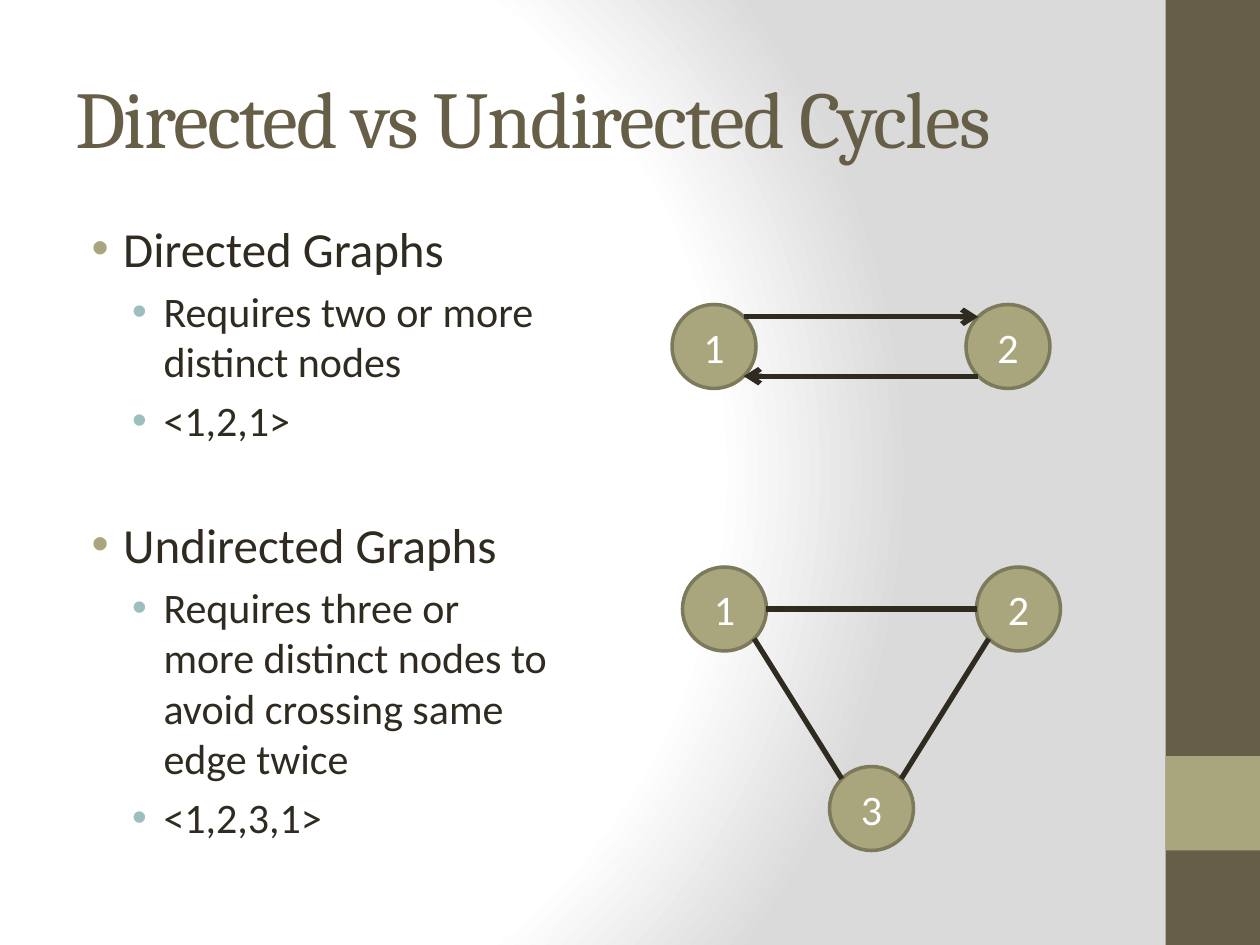
"""Build the slide that compares directed and undirected cycles."""
import math
from dataclasses import dataclass

import pptx
import pptx.dml.color
import pptx.enum.shapes
import pptx.enum.text
import pptx.oxml
import pptx.oxml.ns
import pptx.util
from lxml import etree

COLUMNS, ROWS = 120, 90
NODE_SIZE = 8


@dataclass(frozen=True)
class Theme:
    brown: str = "675E47"
    olive: str = "A9A57C"
    outline: str = "7D7A5C"
    teal: str = "9CBEBD"
    ink: str = "2F2B20"
    white: str = "FFFFFF"
    gray: str = "DADADA"
    heading_font: str = "Cambria"
    body_font: str = "Calibri"
    title_size: float = 46
    topic_size: float = 28
    detail_size: float = 24


@dataclass(frozen=True)
class Node:
    label: str
    column: float
    row: float

    def rim(self, degrees: float) -> tuple[float, float]:
        radius, angle = NODE_SIZE / 2, math.radians(degrees)
        return (self.column + radius + radius * math.cos(angle),
                self.row + radius + radius * math.sin(angle))


@dataclass(frozen=True)
class Edge:
    start: Node
    start_angle: float
    end: Node
    end_angle: float
    directed: bool = False


@dataclass(frozen=True)
class Bullet:
    text: str
    level: int = 0
    space_before: float = 4.8


THEME = Theme()
BULLETS = [
    Bullet("Directed Graphs", space_before=0),
    Bullet("Requires two or more distinct nodes", 1),
    Bullet("<1,2,1>", 1),
    Bullet("Undirected Graphs", space_before=39.5),
    Bullet("Requires three or more distinct nodes to avoid crossing same edge twice", 1),
    Bullet("<1,2,3,1>", 1),
]
PAIR = [Node("1", 64, 29), Node("2", 92, 29)]
TRIANGLE = [Node("1", 65, 54), Node("2", 93, 54), Node("3", 79, 73)]
EDGES = [
    Edge(PAIR[0], -45, PAIR[1], -135, True),
    Edge(PAIR[1], 135, PAIR[0], 45, True),
    Edge(TRIANGLE[0], 0, TRIANGLE[1], 180),
    Edge(TRIANGLE[1], 135, TRIANGLE[2], -45),
    Edge(TRIANGLE[0], 45, TRIANGLE[2], -135),
]


def grid(*units: float) -> list[int]:
    """Turn alternating column and row counts into lengths."""
    cells = (pptx.util.Inches(10) / COLUMNS, pptx.util.Inches(7.5) / ROWS)
    return [round(unit * cells[index % 2]) for index, unit in enumerate(units)]


def rgb(value: str) -> pptx.dml.color.RGBColor:
    return pptx.dml.color.RGBColor.from_string(value)


def set_font(paragraph, name: str, size: float, color: str) -> None:
    font = paragraph.font
    font.name, font.size = name, pptx.util.Pt(size)
    font.color.rgb = rgb(color)


def add_element(parent, tag: str, **attributes: str):
    return etree.SubElement(parent, pptx.oxml.ns.qn(tag), **attributes)


def paint_background(page) -> None:
    page.background.fill.solid()
    properties = page.element.find(".//" + pptx.oxml.ns.qn("p:bgPr"))
    stops = "".join(
        f'<a:gs pos="{share * 1000}"><a:srgbClr val="{color}"/></a:gs>'
        for share, color in [(0, THEME.white), (75, THEME.white), (100, THEME.gray)])
    properties.replace(properties[0], pptx.oxml.parse_xml(
        f'<a:gradFill {pptx.oxml.ns.nsdecls("a")} rotWithShape="1"><a:gsLst>{stops}</a:gsLst>'
        '<a:path path="circle"><a:fillToRect l="20000" t="50000" r="100000" b="50000"/>'
        '</a:path></a:gradFill>'))


def add_band(page, row: float, height: float, color: str) -> None:
    band = page.shapes.add_shape(
        pptx.enum.shapes.MSO_SHAPE.RECTANGLE, *grid(111, row, 9, height))
    band.shadow.inherit = False
    band.fill.solid()
    band.fill.fore_color.rgb = rgb(color)
    band.line.fill.background()


def add_title(page, text: str) -> None:
    box = page.shapes.add_textbox(*grid(6, 3.6, 100, 15))
    box.text_frame.word_wrap = True
    box.text_frame.vertical_anchor = pptx.enum.text.MSO_ANCHOR.MIDDLE
    paragraph = box.text_frame.paragraphs[0]
    span = paragraph.add_run()
    span.text = text
    span.font._element.set("spc", "-100")
    set_font(paragraph, THEME.heading_font, THEME.title_size, THEME.brown)


def add_bullets(page, bullets: list[Bullet]) -> None:
    frame = page.shapes.add_textbox(*grid(6, 20.2, 48, 68.9)).text_frame
    frame.word_wrap = True
    for index, bullet in enumerate(bullets):
        paragraph = frame.add_paragraph() if index else frame.paragraphs[0]
        paragraph.text, paragraph.level = bullet.text, bullet.level
        paragraph.space_before = pptx.util.Pt(bullet.space_before)
        properties = paragraph._p.get_or_add_pPr()
        properties.set("marL", str(pptx.util.Inches((0.38, 0.7)[bullet.level])))
        properties.set("indent", str(pptx.util.Inches(-0.25)))
        color = add_element(properties, "a:buClr")
        add_element(color, "a:srgbClr", val=(THEME.olive, THEME.teal)[bullet.level])
        add_element(properties, "a:buFont", typeface="Arial")
        add_element(properties, "a:buChar", char="•")
        size = (THEME.topic_size, THEME.detail_size)[bullet.level]
        set_font(paragraph, THEME.body_font, size, THEME.ink)


def add_node(page, node: Node) -> None:
    circle = page.shapes.add_shape(
        pptx.enum.shapes.MSO_SHAPE.OVAL,
        *grid(node.column, node.row, NODE_SIZE, NODE_SIZE))
    circle.shadow.inherit = False
    circle.fill.solid()
    circle.fill.fore_color.rgb = rgb(THEME.olive)
    circle.line.color.rgb = rgb(THEME.outline)
    circle.line.width = pptx.util.Pt(2)
    circle.text_frame.vertical_anchor = pptx.enum.text.MSO_ANCHOR.MIDDLE
    paragraph = circle.text_frame.paragraphs[0]
    paragraph.text = node.label
    paragraph.alignment = pptx.enum.text.PP_ALIGN.CENTER
    set_font(paragraph, THEME.body_font, THEME.detail_size, THEME.white)


def add_edge(page, edge: Edge) -> None:
    ends = grid(*edge.start.rim(edge.start_angle), *edge.end.rim(edge.end_angle))
    line = page.shapes.add_connector(pptx.enum.shapes.MSO_CONNECTOR.STRAIGHT, *ends)
    line.line.color.rgb = rgb(THEME.ink)
    line.line.width = pptx.util.Pt(3)
    if edge.directed:
        add_element(line.line._get_or_add_ln(), "a:tailEnd", type="arrow")
    add_element(line._element.spPr, "a:effectLst")


def main() -> None:
    deck = pptx.Presentation()
    deck.slide_width, deck.slide_height = grid(COLUMNS, ROWS)
    page = deck.slides.add_slide(deck.slide_layouts[6])
    paint_background(page)
    add_band(page, 0, ROWS, THEME.brown)
    add_band(page, 72, 9, THEME.olive)
    add_title(page, "Directed vs Undirected Cycles")
    add_bullets(page, BULLETS)
    for node in PAIR + TRIANGLE:
        add_node(page, node)
    for edge in EDGES:
        add_edge(page, edge)
    deck.save("out.pptx")


if __name__ == "__main__":
    main()
